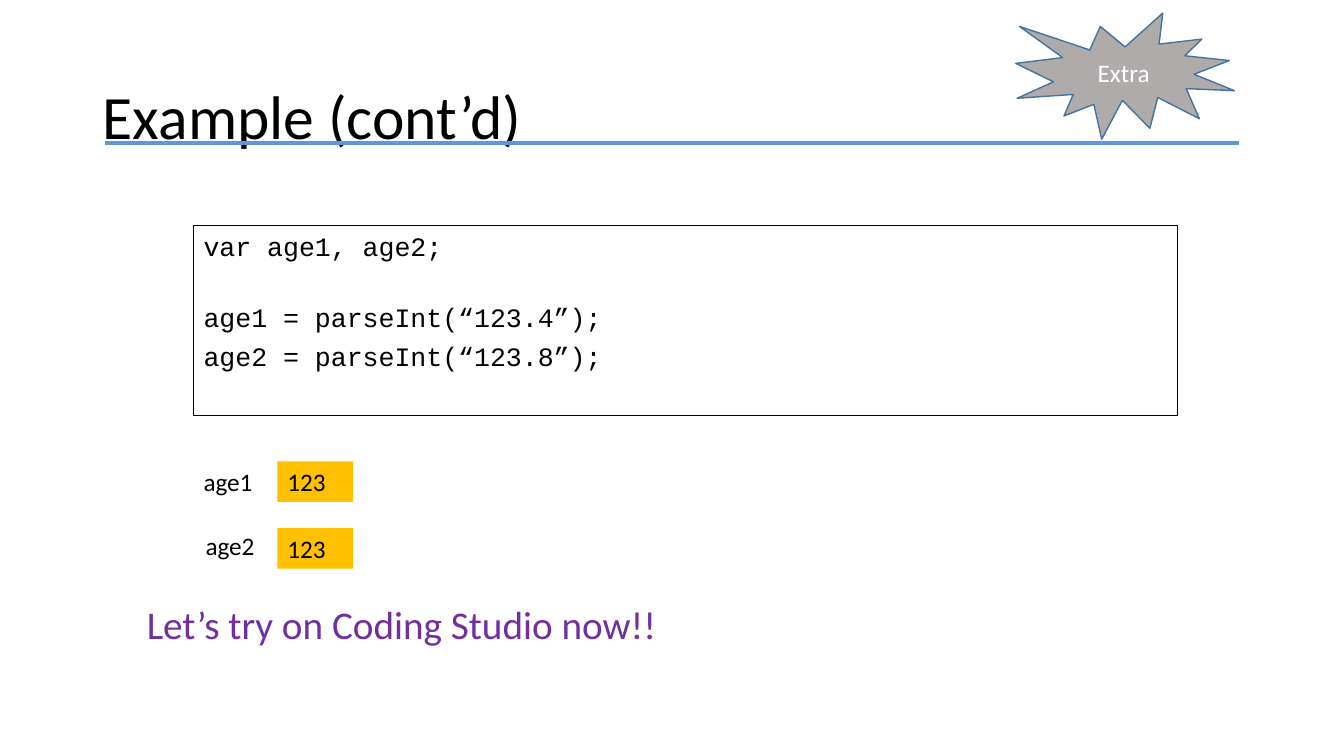
from lxml import etree
from pptx import Presentation
from pptx.dml.color import RGBColor
from pptx.enum.shapes import MSO_CONNECTOR, MSO_SHAPE
from pptx.enum.text import MSO_ANCHOR, MSO_AUTO_SIZE, PP_ALIGN
from pptx.oxml.ns import qn
from pptx.util import Cm, Pt

RECTANGLE, BURST = MSO_SHAPE.RECTANGLE, MSO_SHAPE.EXPLOSION1
STRAIGHT = MSO_CONNECTOR.STRAIGHT
TOP, MIDDLE = MSO_ANCHOR.TOP, MSO_ANCHOR.MIDDLE
LEFT, CENTER = PP_ALIGN.LEFT, PP_ALIGN.CENTER
FIXED = MSO_AUTO_SIZE.NONE
TITLE_ONLY = 5

CODE = [
    ("var age1, age2;", 0),
    ("age1 = parseInt(“123.4”);", 27.5),
    ("age2 = parseInt(“123.8”);", 5.5),
]
VARIABLES = [("age1", "123", 0, 0), ("age2", "123", 0.05, -0.08)]


def color(hex_code):
    """Return the colour for a hex string."""
    return RGBColor.from_string(hex_code)


def apply_format(target, values):
    """Set each attribute of the target from a dict."""
    for name, value in values.items():
        setattr(target, name, value)


def write(frame, lines, size, ink="000000", font="Calibri", align=LEFT, anchor=TOP):
    """Write (text, space before) lines into a text frame."""
    apply_format(frame, {"word_wrap": True, "auto_size": FIXED, "vertical_anchor": anchor})
    for index, (words, gap) in enumerate(lines):
        paragraph = frame.add_paragraph() if index else frame.paragraphs[0]
        apply_format(paragraph, {"alignment": align, "space_before": Pt(gap)})
        run = paragraph.add_run()
        run.text = words
        apply_format(run.font, {"name": font, "size": Pt(size)})
        run.font.color.rgb = color(ink)


def add_panel(slide, preset, box, fill, outline=None, width=1):
    """Add a filled shape with an optional outline."""
    panel = slide.shapes.add_shape(preset, *map(Cm, box))
    panel.shadow.inherit = False
    panel.fill.solid()
    panel.fill.fore_color.rgb = color(fill)
    if outline:
        panel.line.color.rgb = color(outline)
        panel.line.width = Pt(width)
    else:
        panel.line.fill.background()
    return panel


def add_note(slide, box, words, size, ink="000000"):
    """Add a single line of free text."""
    note = slide.shapes.add_textbox(*map(Cm, box))
    write(note.text_frame, [(words, 0)], size, ink)


def add_heading(slide, box):
    """Place the title and the rule that runs under it."""
    left, top, width, height = box
    title = slide.shapes.title
    apply_format(title, dict(zip(("left", "top", "width", "height"), map(Cm, box))))
    write(title.text_frame, [("Example (cont’d)", 0)], 44, anchor=MIDDLE)
    title.text_frame.paragraphs[0].line_spacing = 0.9
    rule_top = Cm(top + 1.81)
    rule = slide.shapes.add_connector(
        STRAIGHT, Cm(left + 0.3), rule_top, Cm(left + 28.88), rule_top)
    rule.line.color.rgb = color("5B9BD5")
    rule.line.width = Pt(3)
    etree.SubElement(rule._element.spPr, qn("a:effectLst"))


def add_code(slide, box):
    """Place the framed code listing."""
    listing = add_panel(slide, RECTANGLE, box, "FFFFFF", "000000", 0.75)
    write(listing.text_frame, CODE, 19, font="Courier New")


def add_badge(slide, box):
    """Place the burst that marks extra material."""
    badge = add_panel(slide, BURST, box, "AFABAB", "43739E")
    write(badge.text_frame, [("Extra", 0)], 18, "FFFFFF", align=CENTER, anchor=MIDDLE)


def add_variables(slide, box):
    """Place one row per variable, its name beside its value."""
    left, top, width, height = box
    row_height = 1.02
    pitch = (height - row_height) / (len(VARIABLES) - 1)
    for row, (name, value, shift_x, shift_y) in enumerate(VARIABLES):
        row_top = top + row * pitch
        add_note(slide, (left + shift_x, row_top + shift_y, 2.7, row_height), name, 18)
        cell = add_panel(
            slide, RECTANGLE, (left + width - 1.91, row_top, 1.91, row_height), "FFC000")
        write(cell.text_frame, [(value, 0)], 18)


def main():
    """Build the slide and save it."""
    deck = Presentation()
    apply_format(deck, {"slide_width": Cm(33.87), "slide_height": Cm(19.05)})
    slide = deck.slides.add_slide(deck.slide_layouts[TITLE_ONLY])
    add_heading(slide, (2.34, 1.8, 18.31, 2.44))
    add_code(slide, (4.88, 5.68, 24.79, 4.8))
    add_badge(slide, (25.6, 0.33, 5.51, 3.18))
    add_variables(slide, (4.88, 11.63, 4.02, 2.7))
    add_note(slide, (3.45, 14.99, 16.84, 2.64),
             "Let’s try on Coding Studio now!!", 28, "7030A0")
    deck.save("out.pptx")


if __name__ == "__main__":
    main()
